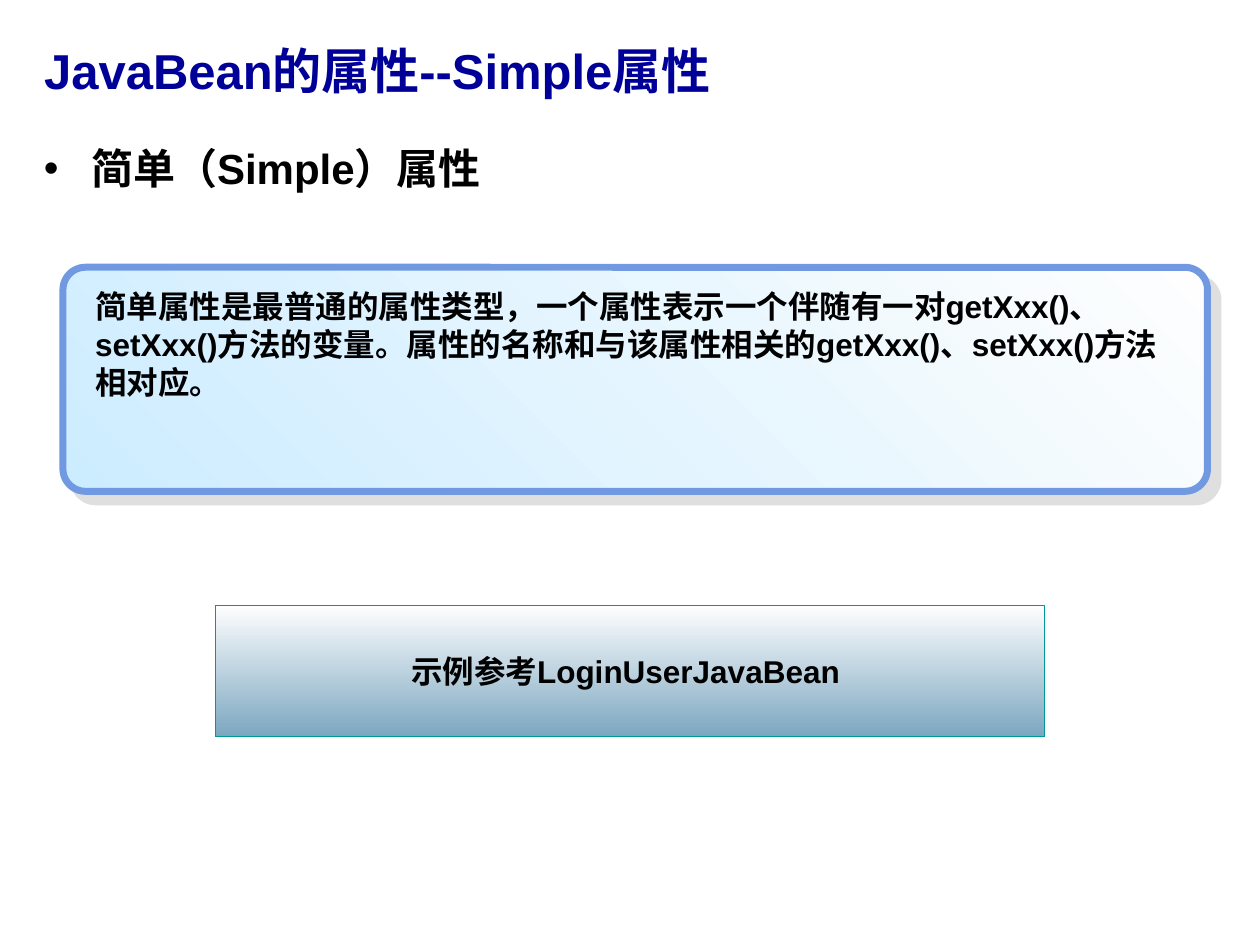
from lxml import etree
from pptx import Presentation
from pptx.dml.color import RGBColor
from pptx.enum import shapes, text
from pptx.oxml import ns
from pptx.util import Pt

HUES = {"navy": "000099", "ink": "000000", "pale": "FEFEFE", "sky": "CCECFF",
        "rim": "7099E2", "shade": "C0C0C0", "white": "FFFFFF",
        "steel": "4582A7", "teal": "009999"}


def add(host, tag, **attrs):
    return etree.SubElement(host, ns.qn(tag), attrs)


class Deck:
    """Holds the style and the current slide, and draws each kind of element."""

    def __init__(self, wide, high, font):
        self.prs = Presentation()
        self.prs.slide_width, self.prs.slide_height = Pt(wide), Pt(high)
        self.font = font
        self.slide = self.prs.slides.add_slide(self.prs.slide_layouts[5])

    def hue(self, name):
        return RGBColor.from_string(HUES[name])

    def words(self, frame, line, size, hue="ink", align="LEFT", anchor="TOP",
              pad=(7.2, 3.6), bullet=0):
        frame.word_wrap = True
        frame.auto_size = text.MSO_AUTO_SIZE.NONE
        frame.vertical_anchor = getattr(text.MSO_ANCHOR, anchor)
        frame.margin_left = frame.margin_right = Pt(pad[0])
        frame.margin_top = frame.margin_bottom = Pt(pad[1])
        para = frame.paragraphs[0]
        para.alignment = getattr(text.PP_ALIGN, align)
        if bullet:
            props = para._p.get_or_add_pPr()
            props.set("marL", str(Pt(bullet)))
            props.set("indent", str(-Pt(bullet)))
            add(props, "a:buFont", typeface=self.font)
            add(props, "a:buChar", char="•")
        run = para.add_run()
        run.text = line
        run.font.name, run.font.size = self.font, Pt(size)
        run.font.bold = True
        run.font.color.rgb = self.hue(hue)

    def title(self, box, line, size, hue):
        shape = self.slide.shapes.title
        shape.left, shape.top, shape.width, shape.height = map(Pt, box)
        self.words(shape.text_frame, line, size, hue, anchor="MIDDLE")

    def label(self, box, line, size, host=None, **style):
        host = host or self.slide
        shape = host.shapes.add_textbox(*map(Pt, box))
        self.words(shape.text_frame, line, size, **style)

    def panel(self, kind, box, fade, angle, rim, width, host=None, alpha=None):
        host = host or self.slide
        form = getattr(shapes.MSO_SHAPE, kind)
        shape = host.shapes.add_shape(form, *map(Pt, box))
        shape.shadow.inherit = False
        shape.fill.gradient()
        shape.fill.gradient_angle = 360 - angle
        for stop, name in zip(shape.fill.gradient_stops, fade):
            stop.color.rgb = self.hue(name)
        if alpha:
            for tint in shape._element.spPr.iter(ns.qn("a:srgbClr")):
                add(tint, "a:alpha", val=str(alpha * 1000))
        shape.line.color.rgb = self.hue(rim)
        shape.line.width = Pt(width)
        return shape

    def shadow(self, shape, hue, alpha, dist, angle):
        host = shape._element.spPr.find(ns.qn("a:effectLst"))
        cast = add(host, "a:outerShdw", dist=str(Pt(dist)),
                   dir=str(angle * 60000), algn="ctr", rotWithShape="0")
        tint = add(cast, "a:srgbClr", val=HUES[hue])
        add(tint, "a:alpha", val=str(alpha * 1000))

    def group(self):
        return self.slide.shapes.add_group_shape()

    def save(self):
        self.prs.save("out.pptx")


def main():
    deck = Deck(720, 540, "Arial")
    deck.title((18, 16, 648, 48), "JavaBean的属性--Simple属性", 28, "navy")
    deck.label((18, 78, 690, 398), "简单（Simple）属性", 24, bullet=27)

    card = deck.group()
    frame = deck.panel("ROUNDED_RECTANGLE", (36, 152.75, 654, 128),
                       ("pale", "sky"), 135, "rim", 4, host=card)
    frame.adjustments[0] = 0.1
    deck.shadow(frame, "shade", 50, 8.5, 45)
    deck.label((47.25, 160.5, 631.5, 72),
               "简单属性是最普通的属性类型，一个属性表示一个伴随有一对getXxx()、"
               "setXxx()方法的变量。属性的名称和与该属性相关的getXxx()、"
               "setXxx()方法相对应。", 18, host=card)

    note = deck.panel("RECTANGLE", (123, 346, 474, 75), ("white", "steel"),
                      90, "teal", 0.75, alpha=70)
    deck.words(note.text_frame, "示例参考LoginUserJavaBean ", 18,
               align="CENTER", anchor="MIDDLE", pad=(4.5, 2.25))
    deck.save()


if __name__ == "__main__":
    main()
